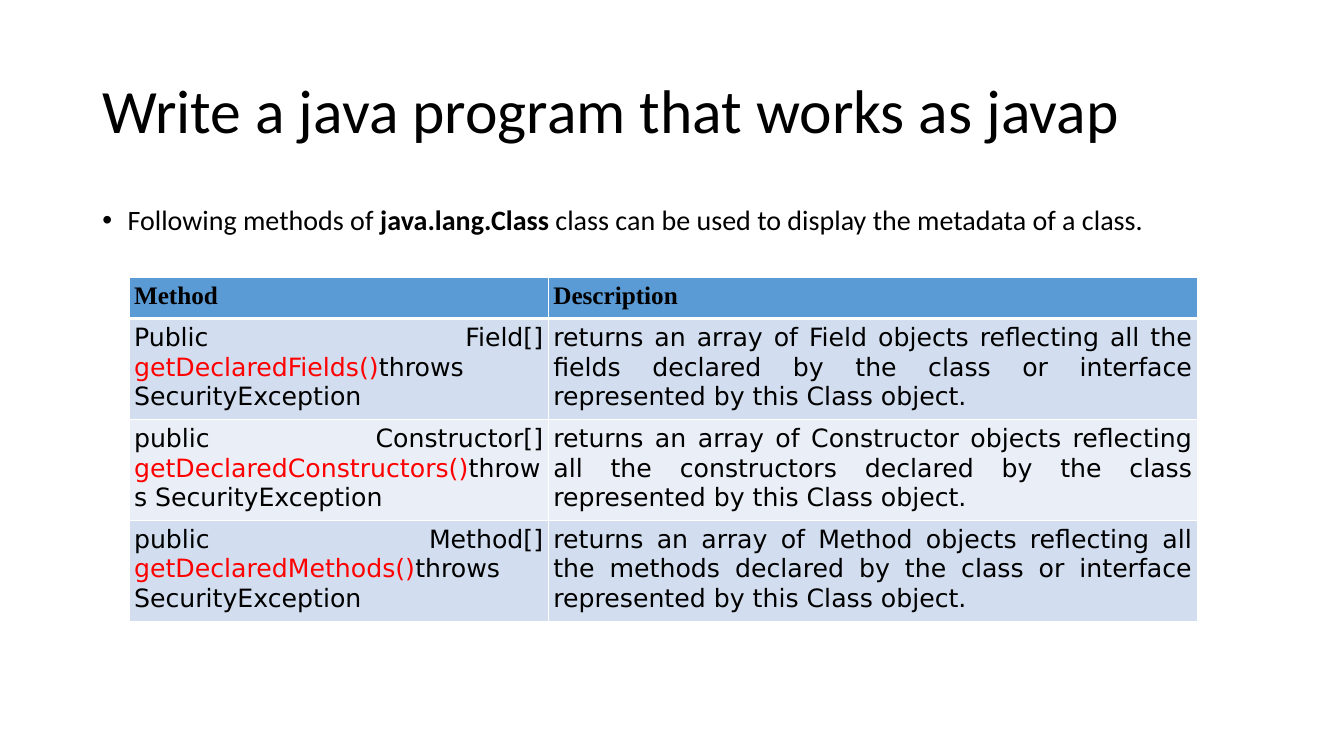
from pptx import Presentation
from pptx.dml.color import RGBColor
from pptx.enum.text import MSO_ANCHOR as Anchor, PP_ALIGN as Align
from pptx.oxml.ns import qn
from pptx.util import Inches, Pt
from lxml.etree import SubElement


def color(hex_text):
    return RGBColor.from_string(hex_text)


class SlideBuilder:
    """Holds the style and slide; lengths are percentages of the slide's size."""
    BLACK, RED, WHITE = "000000", "FF0000", "FFFFFF"
    HEADER, BANDS = "5B9BD5", ("D2DEEF", "EAEFF7")
    BODY, HEAD, CELL = "Calibri", "Times New Roman", "DejaVu Sans"

    def __init__(self, prs):
        self.prs = prs
        self.s = prs.slides.add_slide(prs.slide_layouts[6])

    def x(self, share):
        return round(self.prs.slide_width * share / 100)

    def y(self, share):
        return round(self.prs.slide_height * share / 100)

    def runs(self, p, parts, font, size):
        """Each part is (text, colour, bold)."""
        for text, hex_text, bold in parts:
            r = p.add_run()
            r.text = text
            r.font.name, r.font.size, r.font.bold = font, Pt(size), bold
            r.font.color.rgb = color(hex_text)

    def text(self, left, top, width, height, parts, size, anchor=Anchor.TOP, bullet=None):
        sp = self.s.shapes.add_textbox(self.x(left), self.y(top), self.x(width), self.y(height))
        tf = sp.text_frame
        tf.word_wrap, tf.vertical_anchor = True, anchor
        p = tf.paragraphs[0]
        p.line_spacing = 0.9
        if bullet:
            pPr = p._p.get_or_add_pPr()
            pPr.set("marL", str(Inches(0.25)))
            pPr.set("indent", str(-Inches(0.25)))
            SubElement(pPr, qn("a:buFont")).set("typeface", "Arial")
            SubElement(pPr, qn("a:buChar")).set("char", bullet)
        self.runs(p, parts, self.BODY, size)

    def borders(self, cell, bottom):
        tcPr = cell._tc.get_or_add_tcPr()
        widths = {"lnL": 1, "lnR": 1, "lnT": 1, "lnB": bottom}
        for place, (side, width) in enumerate(widths.items()):
            ln = tcPr.makeelement(qn(f"a:{side}"), {"w": str(Pt(width))})
            fill = SubElement(ln, qn("a:solidFill"))
            SubElement(fill, qn("a:srgbClr")).set("val", self.WHITE)
            tcPr.insert(place, ln)

    def cell(self, cell, parts, fill, font, align, bottom):
        cell.margin_left = cell.margin_right = Inches(0.05)
        cell.margin_top = cell.margin_bottom = Inches(0.05)
        cell.fill.solid()
        cell.fill.fore_color.rgb = color(fill)
        self.borders(cell, bottom)
        p = cell.text_frame.paragraphs[0]
        p.alignment = align
        self.runs(p, parts, font, 18)

    def table(self, left, top, widths, head_height, row_height, headings, rows):
        heights = [head_height] + [row_height] * len(rows)
        tbl = self.s.shapes.add_table(
            len(heights), len(widths), self.x(left), self.y(top),
            self.x(sum(widths)), self.y(sum(heights))).table
        for col, width in zip(tbl.columns, widths):
            col.width = self.x(width)
        for row, height in zip(tbl.rows, heights):
            row.height = self.y(height)
        for c, heading in enumerate(headings):
            self.cell(tbl.cell(0, c), [(heading, self.BLACK, True)],
                      self.HEADER, self.HEAD, Align.LEFT, 3)
        for i, row in enumerate(rows):
            for c, parts in enumerate(row):
                # The header's heavy rule is also the first row's top edge
                self.cell(tbl.cell(i + 1, c), parts, self.BANDS[i % 2],
                          self.CELL, Align.JUSTIFY, 1)
                if i == 0:
                    tcPr = tbl.cell(1, c)._tc.tcPr
                    tcPr.find(qn("a:lnT")).set("w", str(Pt(3)))


METHODS = [
    ("Public Field[] ", "getDeclaredFields()", "Field",
     "fields declared by the class or interface"),
    ("public Constructor[] ", "getDeclaredConstructors()", "Constructor",
     "constructors declared by the class"),
    ("public Method[] ", "getDeclaredMethods()", "Method",
     "methods declared by the class or interface"),
]


def main():
    prs = Presentation()
    prs.slide_width, prs.slide_height = Inches(13.33), Inches(7.5)
    b = SlideBuilder(prs)

    # Title and introduction
    b.text(6.88, 5.33, 86.25, 19.33,
           [("Write a java program that works as javap", b.BLACK, False)],
           44, anchor=Anchor.MIDDLE)
    b.text(6.88, 26.67, 86.25, 63.47,
           [("Following methods of\u00a0", b.BLACK, False),
            ("java.lang.Class", b.BLACK, True),
            ("\u00a0class can be used to display the metadata of a class.", b.BLACK, False)],
           20, bullet="•")

    # Table of reflection methods
    rows = []
    for returned, method, kind, members in METHODS:
        signature = [(returned, b.BLACK, False), (method, b.RED, False),
                     ("throws SecurityException", b.BLACK, False)]
        description = (f"returns an array of {kind} objects reflecting all the "
                       f"{members} represented by this Class object.")
        rows.append((signature, [(description, b.BLACK, False)]))
    b.table(9.6, 36.67, (31.2, 48.3), 5.47, 12.95, ("Method", "Description"), rows)

    prs.save("out.pptx")


if __name__ == "__main__":
    main()
